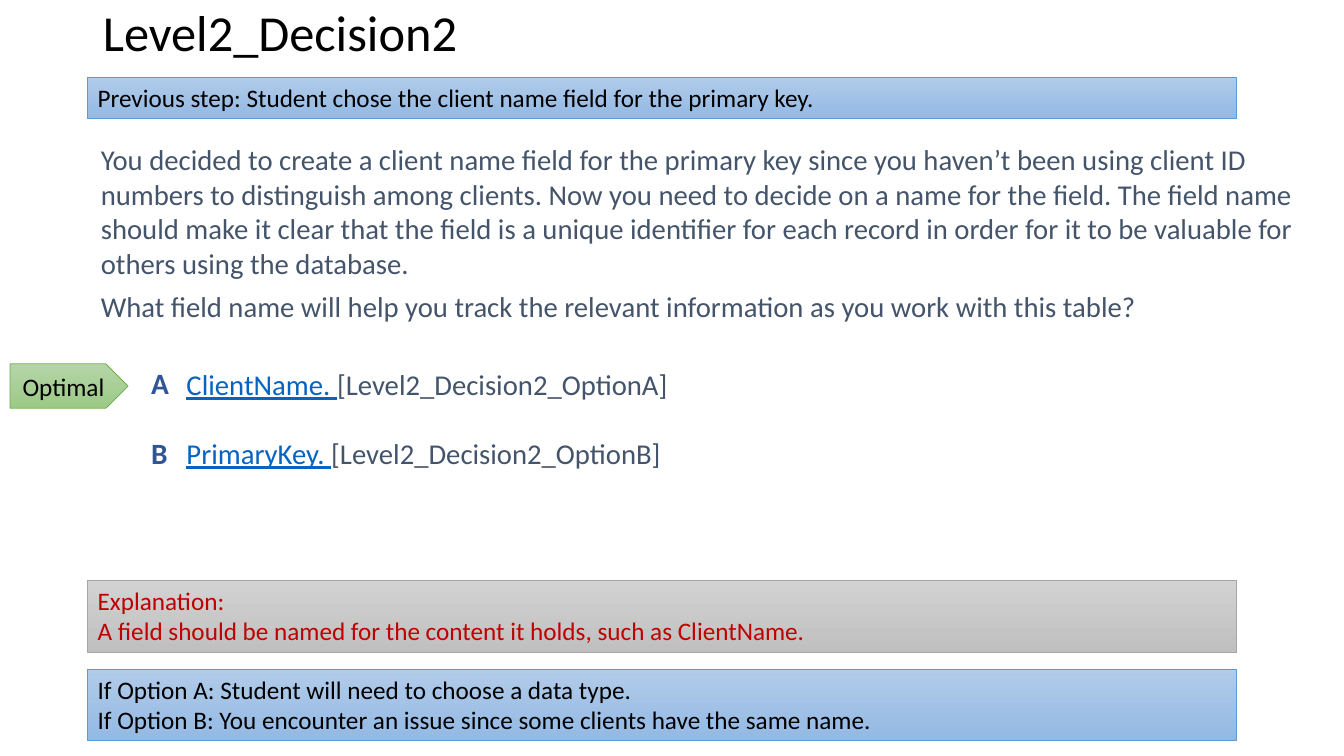
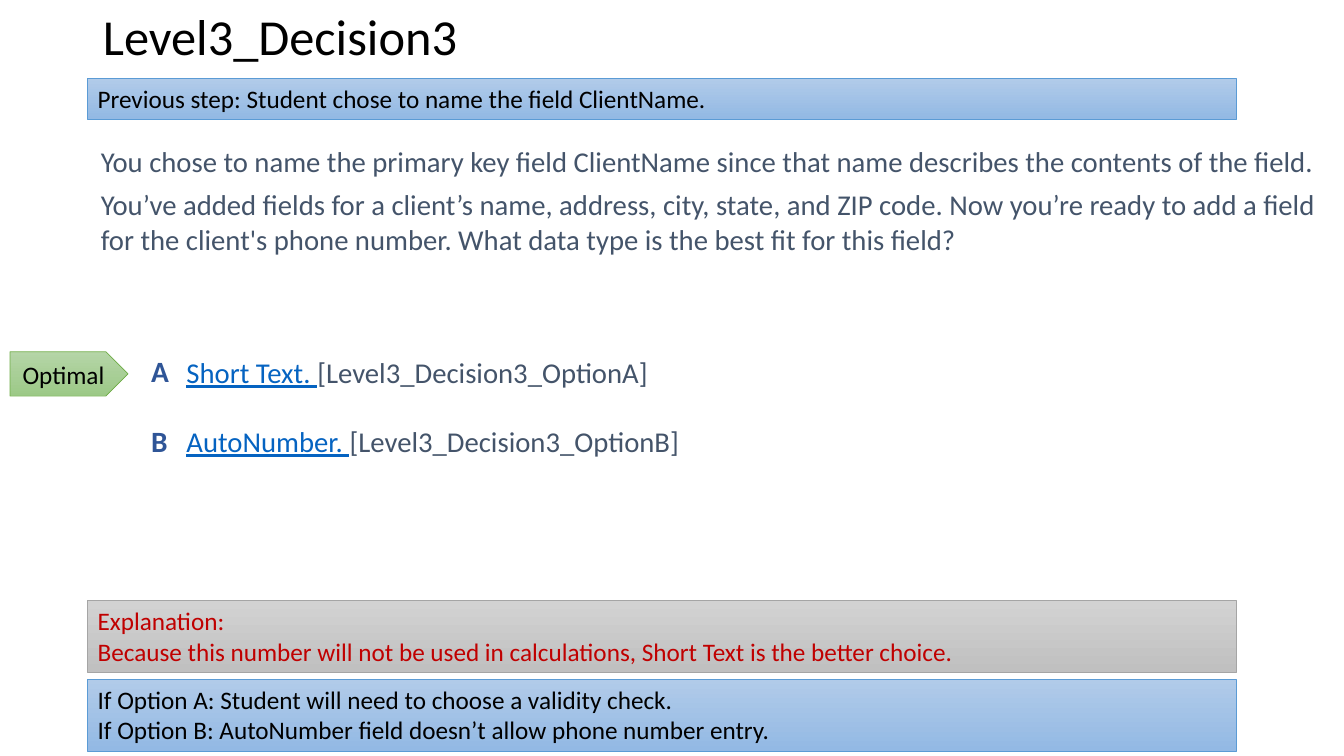
from pptx import Presentation
from pptx.dml.color import RGBColor
from pptx.enum.shapes import MSO_SHAPE as Shape
from pptx.enum.text import MSO_ANCHOR as Anchor, MSO_AUTO_SIZE as AutoSize, PP_ALIGN as Align
from pptx.util import Inches, Pt

FONT = "Calibri"
BLACK = RGBColor(0x00, 0x00, 0x00)
SLATE = RGBColor(0x44, 0x54, 0x6A)
LINK_BLUE = RGBColor(0x05, 0x63, 0xC1)
LETTER_BLUE = RGBColor(0x2F, 0x55, 0x97)
RED = RGBColor(0xC0, 0x00, 0x00)

# Each scheme: gradient top, gradient bottom, outline
BLUE_SCHEME = (RGBColor(0xB1, 0xCB, 0xE9), RGBColor(0x93, 0xB9, 0xE4), RGBColor(0x5B, 0x9B, 0xD5))
GRAY_SCHEME = (RGBColor(0xD2, 0xD2, 0xD2), RGBColor(0xC0, 0xC0, 0xC0), RGBColor(0xA5, 0xA5, 0xA5))
GREEN_SCHEME = (RGBColor(0xB5, 0xD5, 0xA7), RGBColor(0x9C, 0xC9, 0x87), RGBColor(0x70, 0xAD, 0x47))

BODY_SIZE = 20.5
BAND_LEFT, BAND_WIDTH = 0.87, 11.39
LINE_BAND, TWO_LINE_BAND = 0.4, 0.71


def add_run(paragraph, text, size=18, color=BLACK, bold=False, underline=False):
    run = paragraph.add_run()
    run.text = text
    run.font.name = FONT
    run.font.size = Pt(size)
    run.font.color.rgb = color
    run.font.bold = bold
    run.font.underline = underline


def write_text(frame, paragraphs, align=Align.LEFT, anchor=Anchor.TOP,
               gap_before=0, gap_after=0, line_spacing=1.0, **run_format):
    """Fill a frame; a paragraph is a string or a list of (text, format) runs."""
    frame.word_wrap = True
    frame.auto_size = AutoSize.NONE
    frame.vertical_anchor = anchor
    for index, content in enumerate(paragraphs):
        paragraph = frame.add_paragraph() if index else frame.paragraphs[0]
        paragraph.alignment = align
        paragraph.line_spacing = line_spacing
        paragraph.space_before = Pt(gap_before if index else 0)
        paragraph.space_after = Pt(gap_after)
        runs = [(content, {})] if isinstance(content, str) else content
        for text, own_format in runs:
            add_run(paragraph, text, **{**run_format, **own_format})


class Deck:
    def __init__(self):
        self.presentation = Presentation()
        self.presentation.slide_width = Inches(13.33)
        self.presentation.slide_height = Inches(7.5)
        self.slide = None

    def start_slide(self, title, top):
        self.slide = self.presentation.slides.add_slide(self.presentation.slide_layouts[5])
        shape = self.slide.shapes.title
        shape.left, shape.top = Inches(0.92), Inches(top)
        shape.width, shape.height = Inches(11.5), Inches(0.7)
        write_text(shape.text_frame, [title], size=36, anchor=Anchor.MIDDLE, line_spacing=0.9)

    def text(self, left, top, width, height, paragraphs, **text_format):
        box = self.slide.shapes.add_textbox(Inches(left), Inches(top), Inches(width), Inches(height))
        frame = box.text_frame
        frame.margin_left = frame.margin_right = Inches(0.13)
        frame.margin_top = frame.margin_bottom = Inches(0.07)
        write_text(frame, paragraphs, **text_format)

    def panel(self, kind, left, top, width, height, scheme, paragraphs, **text_format):
        shape = self.slide.shapes.add_shape(
            kind, Inches(left), Inches(top), Inches(width), Inches(height))
        shape.shadow.inherit = False
        *gradient, outline = scheme
        shape.fill.gradient()
        shape.fill.gradient_angle = 270
        for stop, color in zip(shape.fill.gradient_stops, gradient):
            stop.color.rgb = color
        shape.line.color.rgb = outline
        shape.line.width = Pt(0.5)
        write_text(shape.text_frame, paragraphs, **text_format)

    def band(self, top, height, scheme, paragraphs, **text_format):
        self.panel(Shape.RECTANGLE, BAND_LEFT, top, BAND_WIDTH, height, scheme,
                   paragraphs, **text_format)

    def options(self, top, name, answers):
        """Lettered answers, each followed by its tag."""
        lines = []
        for index, (letter, answer) in enumerate(zip("AB", answers)):
            lines.append([(f"{answer}. ", {"color": LINK_BLUE, "underline": True}),
                          (f"[{name}_Option{letter}]", {})])
            self.text(1.37, top - 0.02 + 0.7 * index, 0.7, 0.5, [letter],
                      size=21, color=LETTER_BLUE, bold=True)
        self.text(1.72, top, 7.8, 1.3, lines, size=BODY_SIZE, color=SLATE, gap_before=24.5)

    def optimal_flag(self, top):
        self.panel(Shape.PENTAGON, 0.1, top, 1.17, 0.44, GREEN_SCHEME, ["Optimal"],
                   align=Align.CENTER, anchor=Anchor.MIDDLE)

    def decision(self, name, previous, story, answers, explanation, outcomes, tops):
        self.start_slide(name, tops["title"])
        self.band(tops["previous"], LINE_BAND, BLUE_SCHEME, [f"Previous step: {previous}"])
        self.text(0.87, tops["story"], 12.46, 2, story, size=BODY_SIZE, color=SLATE, gap_after=6)
        self.options(tops["options"], name, answers)
        self.optimal_flag(tops["options"] + 0.04)
        self.band(tops["explanation"], TWO_LINE_BAND, GRAY_SCHEME,
                  ["Explanation:", explanation], color=RED)
        self.band(tops["outcomes"], TWO_LINE_BAND, BLUE_SCHEME,
                  [f"If Option {letter}: {outcome}" for letter, outcome in zip("AB", outcomes)])


def main():
    deck = Deck()

    # Naming the field
    deck.decision(
        "Level2_Decision2",
        previous="Student chose the client name field for the primary key.",
        story=[
            "You decided to create a client name field for the primary key since you haven’t been "
            "using client ID numbers to distinguish among clients. Now you need to decide on a name "
            "for the field. The field name should make it clear that the field is a unique identifier "
            "for each record in order for it to be valuable for others using the database.",
            "What field name will help you track the relevant information as you work with this table?",
        ],
        answers=["ClientName", "PrimaryKey"],
        explanation="A field should be named for the content it holds, such as ClientName.",
        outcomes=["Student will need to choose a data type.",
                  "You encounter an issue since some clients have the same name."],
        tops={"title": 0, "previous": 0.77, "story": 1.34, "options": 3.57,
              "explanation": 5.76, "outcomes": 6.64},
    )

    # Choosing the data type
    deck.decision(
        "Level3_Decision3",
        previous="Student chose to name the field ClientName.",
        story=[
            "You chose to name the primary key field ClientName since that name describes the "
            "contents of the field.",
            "You’ve added fields for a client’s name, address, city, state, and ZIP code. Now you’re "
            "ready to add a field for the client's phone number. What data type is the best fit for "
            "this field?",
        ],
        answers=["Short Text", "AutoNumber"],
        explanation="Because this number will not be used in calculations, Short Text is the better choice.",
        outcomes=["Student will need to choose a validity check.",
                  "AutoNumber field doesn’t allow phone number entry."],
        tops={"title": 0.04, "previous": 0.78, "story": 1.36, "options": 3.45,
              "explanation": 5.96, "outcomes": 6.74},
    )

    deck.presentation.save("out.pptx")


if __name__ == "__main__":
    main()
